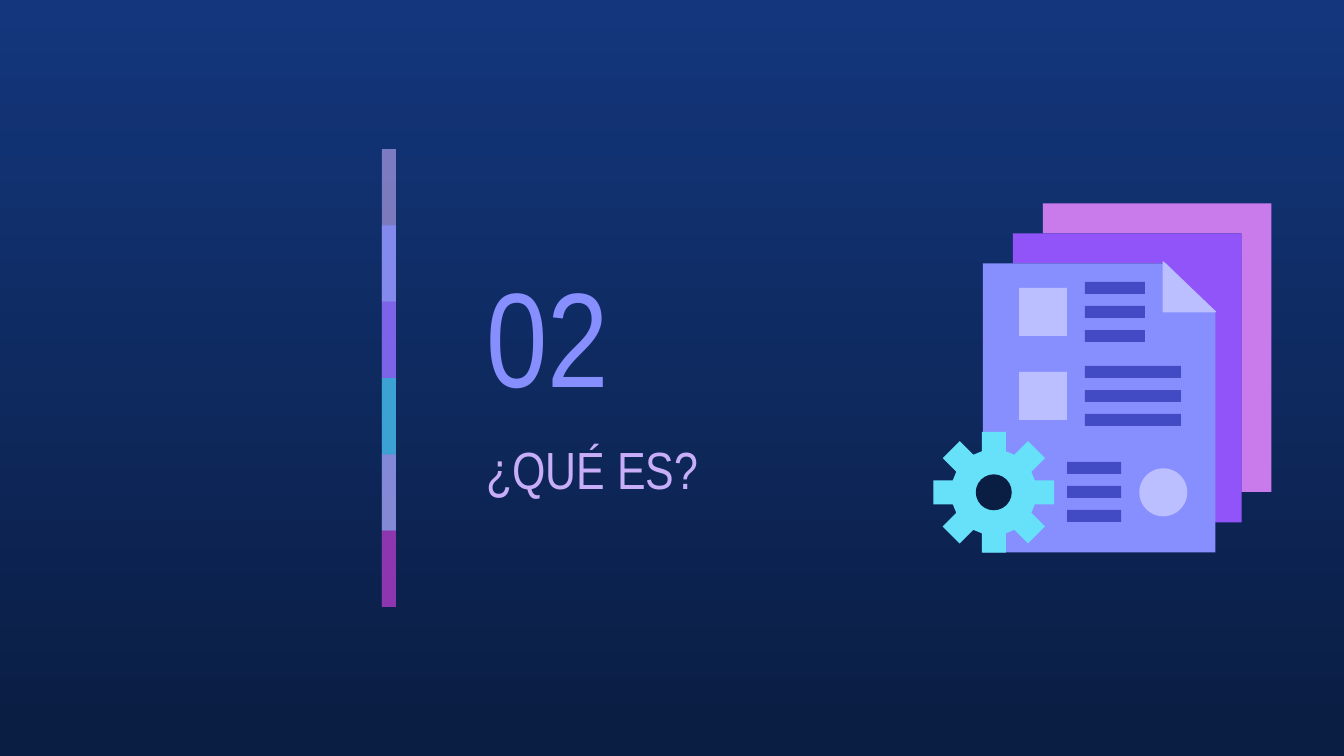
from math import cos, pi, sin

from lxml.etree import SubElement
from pptx import Presentation
from pptx.dml.color import RGBColor
from pptx.enum.shapes import MSO_SHAPE as Preset
from pptx.enum.text import MSO_ANCHOR as Anchor, MSO_AUTO_SIZE as AutoSize, PP_ALIGN as Align
from pptx.oxml.ns import qn
from pptx.util import Inches, Pt

COLUMNS, ROWS = 112, 63
CELL = Inches(10) / COLUMNS

PERIWINKLE, LAVENDER, VIOLET, ORCHID = "878FFF", "C8AEF8", "9154F8", "CA7BEB"
PALE, INDIGO, CYAN, NAVY, BLUE = "BBBFFF", "424BC4", "67E0F9", "0A1D42", "13367C"


def color(code):
    """Turn a hex string into a colour."""
    return RGBColor.from_string(code)


def cells(*counts):
    """Turn counts of grid cells into lengths."""
    return [round(count * CELL) for count in counts]


class SectionSlide:
    """Holds the style and the current slide, measured in grid cells."""

    font = "Arial Narrow"

    def __init__(self, deck):
        """Add a slide with a title and a subtitle."""
        self.slide = deck.slides.add_slide(deck.slide_layouts[0])
        self.shapes = self.slide.shapes

    def background(self, top, bottom):
        """Fill the slide with a vertical gradient."""
        fill = self.slide.background.fill
        fill.gradient()
        fill.gradient_angle = 270
        for stop, position, code in zip(fill.gradient_stops, (0, 1), (top, bottom)):
            stop.position = position
            stop.color.rgb = color(code)

    def heading(self, index, wording, box, size, code):
        """Place and format one of the placeholders."""
        holder = self.slide.placeholders[index]
        holder.left, holder.top, holder.width, holder.height = cells(*box)
        frame = holder.text_frame
        frame.word_wrap, frame.auto_size = True, AutoSize.NONE
        frame.vertical_anchor = Anchor.MIDDLE
        frame.margin_left = frame.margin_right = Inches(0.1)
        frame.margin_top = frame.margin_bottom = Inches(0.1)
        paragraph = frame.paragraphs[0]
        paragraph.alignment, paragraph.space_before = Align.LEFT, Pt(0)
        run = paragraph.add_run()
        run.text = wording
        run.font.name, run.font.size = self.font, Pt(size)
        run.font.color.rgb = color(code)

    def paint(self, shape, code, opacity=100, outline=0):
        """Give a shape its flat fill, opacity and outline."""
        shape.shadow.inherit = False
        shape.fill.solid()
        shape.fill.fore_color.rgb = color(code)
        if opacity < 100:
            tint = shape._element.spPr.find(".//" + qn("a:srgbClr"))
            SubElement(tint, qn("a:alpha"), val=str(opacity * 1000))
        if outline:
            shape.line.width = Pt(outline)
            shape.line.color.rgb = color(code)
        else:
            shape.line.fill.background()

    def block(self, left, top, width, height, code, opacity=100, preset=Preset.RECTANGLE):
        """Draw a preset shape."""
        self.paint(self.shapes.add_shape(preset, *cells(left, top, width, height)), code, opacity)

    def disc(self, middle, center, diameter, code):
        """Draw a circle around a centre."""
        self.block(middle - diameter / 2, center - diameter / 2, diameter, diameter, code,
                   preset=Preset.OVAL)

    def outline(self, points, code, outline=0):
        """Draw a closed polygon."""
        start, *rest = [cells(*point) for point in points]
        builder = self.shapes.build_freeform(*start)
        builder.add_line_segments(rest, close=True)
        self.paint(builder.convert_to_shape(), code, outline=outline)

    def gear(self, middle, center, teeth, hole_code, code):
        """Draw a gear with evenly turned teeth and a hole."""
        tooth = [(-1, -3.42), (-1, -5.03), (1, -5.03), (1, -3.42)]
        turns = [2 * pi * step / teeth for step in range(teeth)]
        self.outline([(middle + x * cos(turn) - y * sin(turn),
                       center + x * sin(turn) + y * cos(turn))
                      for turn in turns for x, y in tooth], code)
        self.disc(middle, center, 3, hole_code)


def main():
    """Build the section slide."""
    deck = Presentation()
    deck.slide_width, deck.slide_height = cells(COLUMNS, ROWS)
    section = SectionSlide(deck)
    section.background(BLUE, NAVY)

    stripes = [(LAVENDER, 59), (PERIWINKLE, 74), (VIOLET, 53),
               ("35C2DF", 76), (ORCHID, 56), ("972CB4", 74)]
    step = 6.36
    for order, (code, opacity) in enumerate(stripes):
        height = step if order == len(stripes) - 1 else 2 * step
        section.block(31.83, 12.42 + order * step, 1.17, height, code, opacity)

    section.heading(0, "02", (39.42, 20.27, 19.6, 15.12), 72, PERIWINKLE)
    section.heading(1, "¿QUÉ ES?", (39.42, 35.28, 32.14, 7.5), 28, LAVENDER)

    section.outline([(86.92, 16.96), (86.92, 19.46), (103.46, 19.46), (103.46, 41),
                     (105.96, 41), (105.96, 16.96)], ORCHID)
    section.outline([(84.4, 19.46), (84.4, 21.96), (96.95, 21.96), (100.95, 26),
                     (100.95, 43.53), (103.46, 43.53), (103.46, 19.46)], VIOLET)
    section.outline([(81.9, 21.96), (81.9, 46.04), (101.28, 46.04), (101.28, 26.05),
                     (97.2, 21.96)], PERIWINKLE)
    section.gear(82.82, 41.03, 8, NAVY, CYAN)

    for top in (24, 31):
        section.block(84.92, top, 4, 4, PALE)
    section.disc(96.94, 41.03, 4, PALE)
    for left, top, width in ((90.42, 23.5, 5), (90.42, 30.5, 8), (88.92, 38.5, 4.5)):
        for line in range(3):
            section.block(left, top + 2 * line, width, 1, INDIGO)
    section.outline([(96.94, 21.84), (96.94, 25.98), (101.28, 25.98)], PALE, 0.75)

    deck.save("out.pptx")


if __name__ == "__main__":
    main()
